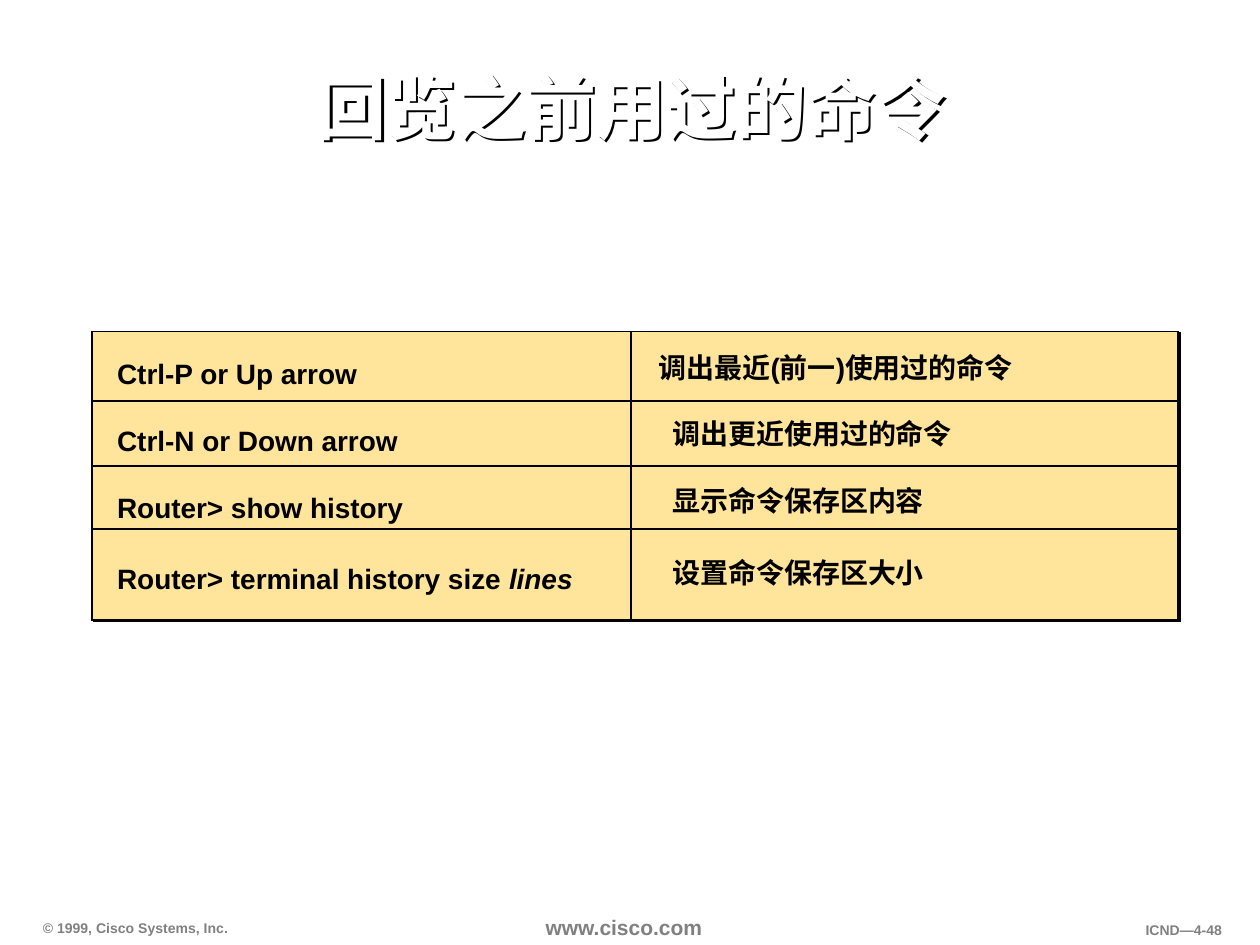
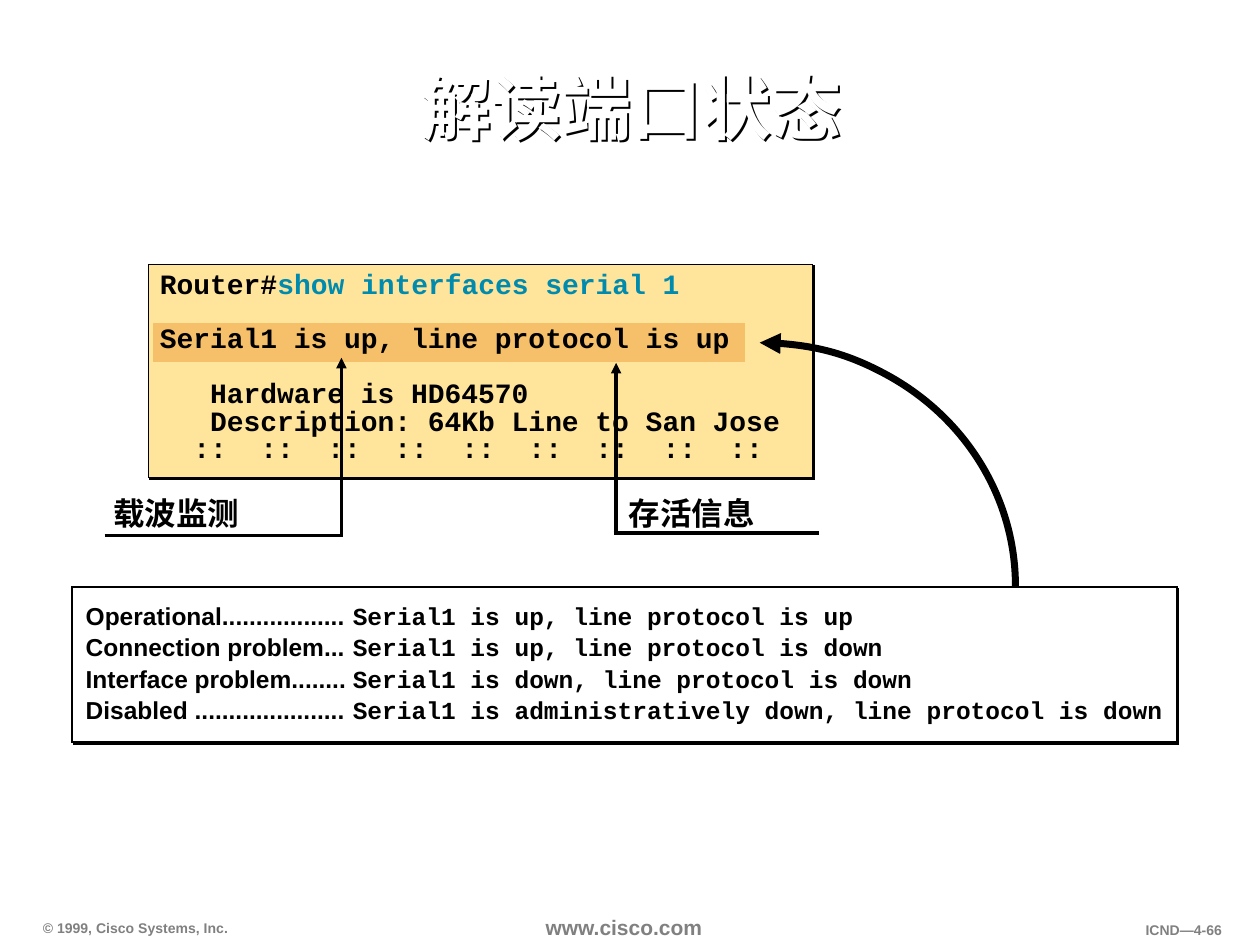
from lxml.etree import SubElement
from pptx import Presentation
from pptx.dml.color import RGBColor
from pptx.enum.shapes import MSO_CONNECTOR, MSO_SHAPE
from pptx.enum.text import MSO_ANCHOR, PP_ALIGN
from pptx.oxml.ns import qn
from pptx.util import Inches, Pt

BLACK, WHITE, GREY = "000000", "FFFFFF", "808080"
CREAM, ORANGE, TEAL = "FFE59B", "F6BF69", "008AAE"
color = RGBColor.from_string

TITLE = {"size": Pt(40), "name": "Arial", "bold": True, "color": WHITE}
FOOTER = TITLE | {"size": Pt(8), "color": GREY}
SITE = FOOTER | {"size": Pt(12)}
BODY = TITLE | {"size": Pt(16), "color": BLACK}
CODE = BODY | {"name": "Courier New"}
CALLOUT = BODY | {"size": Pt(18)}
STATE = BODY | {"size": Pt(14)}
MESSAGE = CODE | {"size": Pt(14)}


def write(page, place, lines, look, margins=(0.09, 0.04), anchor=MSO_ANCHOR.TOP, **para_format):
    """Add a text box; each line is a list of (text, font changes) spans."""
    box = page.shapes.add_textbox(*map(Inches, place))
    frame = box.text_frame
    side, edge = map(Inches, margins)
    frame_format = {"margin_left": side, "margin_right": side, "margin_top": edge,
                    "margin_bottom": edge, "word_wrap": True, "vertical_anchor": anchor}
    for key, value in frame_format.items():
        setattr(frame, key, value)
    for number, line in enumerate(lines):
        para = frame.add_paragraph() if number else frame.paragraphs[0]
        for key, value in para_format.items():
            setattr(para, key, value)
        for text, changes in line:
            span = para.add_run()
            span.text = text
            for key, value in (look | changes).items():
                if key == "color":
                    span.font.color.rgb = color(value)
                else:
                    setattr(span.font, key, value)
    return box


def cast_shadow(shape, distance):
    shape.shadow.inherit = False
    effects = shape._element.spPr.find(qn("a:effectLst"))
    shadow = SubElement(effects, qn("a:outerShdw"), dist=str(Pt(distance)), dir="2700000",
                        algn="ctr", rotWithShape="0")
    SubElement(shadow, qn("a:srgbClr"), val=BLACK)


deck = Presentation()
deck.slide_width, deck.slide_height = Inches(10), Inches(7.5)

# Title and footers shared by both slides
pages = []
for title, number in [("回览之前用过的命令", "48"), ("解读端口状态", "66")]:
    page = deck.slides.add_slide(deck.slide_layouts[6])
    pages.append(page)
    for text, place, look, anchor, align in [
        ("© 1999, Cisco Systems, Inc.", (0.25, 7.25, 1.8, 0.22), FOOTER,
         MSO_ANCHOR.BOTTOM, PP_ALIGN.LEFT),
        ("www.cisco.com", (4.24, 7.22, 1.5, 0.28), SITE, MSO_ANCHOR.TOP, PP_ALIGN.LEFT),
        (f"ICND—4-{number}", (8.59, 7.27, 1.2, 0.22), FOOTER, MSO_ANCHOR.TOP, PP_ALIGN.RIGHT),
    ]:
        write(page, place, [[(text, {})]], look, anchor=anchor, alignment=align)
    heading = write(page, (0.84, 0.26, 8.34, 1.25), [[(title, {})]], TITLE,
                    anchor=MSO_ANCHOR.MIDDLE, alignment=PP_ALIGN.CENTER, line_spacing=0.9)
    cast_shadow(heading, 2)
history_page, status_page = pages

# Shadowed panels and the highlighted status line
for page, place, fill, line, width, shadowed in [
    (history_page, (0.73, 2.63, 8.62, 2.29), CREAM, BLACK, 1, True),
    (status_page, (1.18, 2.1, 5.27, 1.69), CREAM, BLACK, 1, True),
    (status_page, (1.23, 2.58, 4.67, 0.28), ORANGE, ORANGE, 2, False),
    (status_page, (0.57, 4.66, 8.77, 1.23), WHITE, BLACK, 1, True),
]:
    panel = page.shapes.add_shape(MSO_SHAPE.RECTANGLE, *map(Inches, place))
    panel.fill.solid()
    panel.fill.fore_color.rgb = color(fill)
    panel.line.color.rgb = color(line)
    panel.line.width = Pt(width)
    SubElement(panel.line._get_or_add_ln(), qn("a:miter"), lim="800000")
    panel.shadow.inherit = False
    if shadowed:
        cast_shadow(panel, 1.4)

# Command history: top of the text, left of the meaning, texts
for top, left, command, meaning in [
    (2.83, 5.23, [("Ctrl-P or Up arrow", {})], "调出最近(前一)使用过的命令"),
    (3.36, 5.34, [("Ctrl-N or Down arrow", {})], "调出更近使用过的命令"),
    (3.89, 5.34, [("Router> show history", {})], "显示命令保存区内容"),
    (4.46, 5.34, [("Router> terminal history size ", {}), ("lines", {"italic": True})],
     "设置命令保存区大小"),
]:
    write(history_page, (0.93, top, 4, 0.27), [command], BODY, (0, 0))
    write(history_page, (left, top - 0.05, 3.9, 0.27), [[(meaning, {})]], BODY, (0, 0))

# Router output
output = [
    [("Router#", {}), ("show interfaces serial 1", {"color": TEAL})],
    [("Serial1 is up, line protocol is up", {})],
    [("   Hardware is HD64570", {})],
    [("   Description: 64Kb Line to San Jose", {})],
    [("  ::  ::  ::  ::  ::  ::  ::  ::  ::", {})],
]
box = write(status_page, (1.25, 2.13, 5.1, 1.69), output, CODE, (0.02, 0.03),
            line_spacing=Pt(15.7))
for para in box.text_frame.paragraphs[1:3]:
    para.space_before = Pt(15.7)

# Meaning of each status line, and the two callouts
states = ["Operational..................", "Connection problem...",
          "Interface problem........", "Disabled ......................"]
messages = [f"Serial1 is {link}, line protocol is {protocol}" for link, protocol in [
    ("up", "up"), ("up", "down"), ("down", "down"), ("administratively down", "down")]]
for place, lines, look, margins, spacing in [
    ((0.65, 4.71, 2.78, 1.13), states, STATE, (0.03, 0.04), 18),
    ((2.77, 4.71, 6.6, 1.13), messages, MESSAGE, (0.03, 0.04), 18),
    ((4.97, 3.86, 1.8, 0.52), ["存活信息"], CALLOUT, (0.02, 0.03), 23.6),
    ((0.88, 3.86, 2.08, 0.52), ["载波监测"], CALLOUT, (0.02, 0.03), 23.6),
]:
    write(status_page, place, [[(line, {})] for line in lines], look, margins,
          line_spacing=Pt(spacing))

# Curved arrow to the highlighted line, callout arrows, underlines and grid rules
arc = status_page.shapes.add_shape(MSO_SHAPE.ARC, *map(Inches, (4, 2.72, 4.06, 3.86)))
arc.fill.background()
strokes = [(arc, 4, True)]
for page, ends, width, arrow in [
    (history_page, (5.01, 2.63, 5.01, 4.92), 1, False),
    *[(history_page, (0.73, y, 9.35, y), 1, False) for y in (4.2, 3.7, 3.18)],
    (status_page, (2.71, 2.84, 2.71, 4.24), 2, True),
    (status_page, (0.83, 4.25, 2.72, 4.25), 2, False),
    (status_page, (4.89, 2.88, 4.89, 4.24), 2, True),
    (status_page, (4.87, 4.23, 6.5, 4.23), 2, False),
]:
    line = page.shapes.add_connector(MSO_CONNECTOR.STRAIGHT, *map(Inches, ends))
    strokes.append((line, width, arrow))
for stroke, width, arrow in strokes:
    stroke.line.color.rgb = color(BLACK)
    stroke.line.width = Pt(width)
    if arrow:
        SubElement(stroke.line._get_or_add_ln(), qn("a:headEnd"), type="triangle")
    SubElement(stroke._element.spPr, qn("a:effectLst"))

deck.save("out.pptx")
